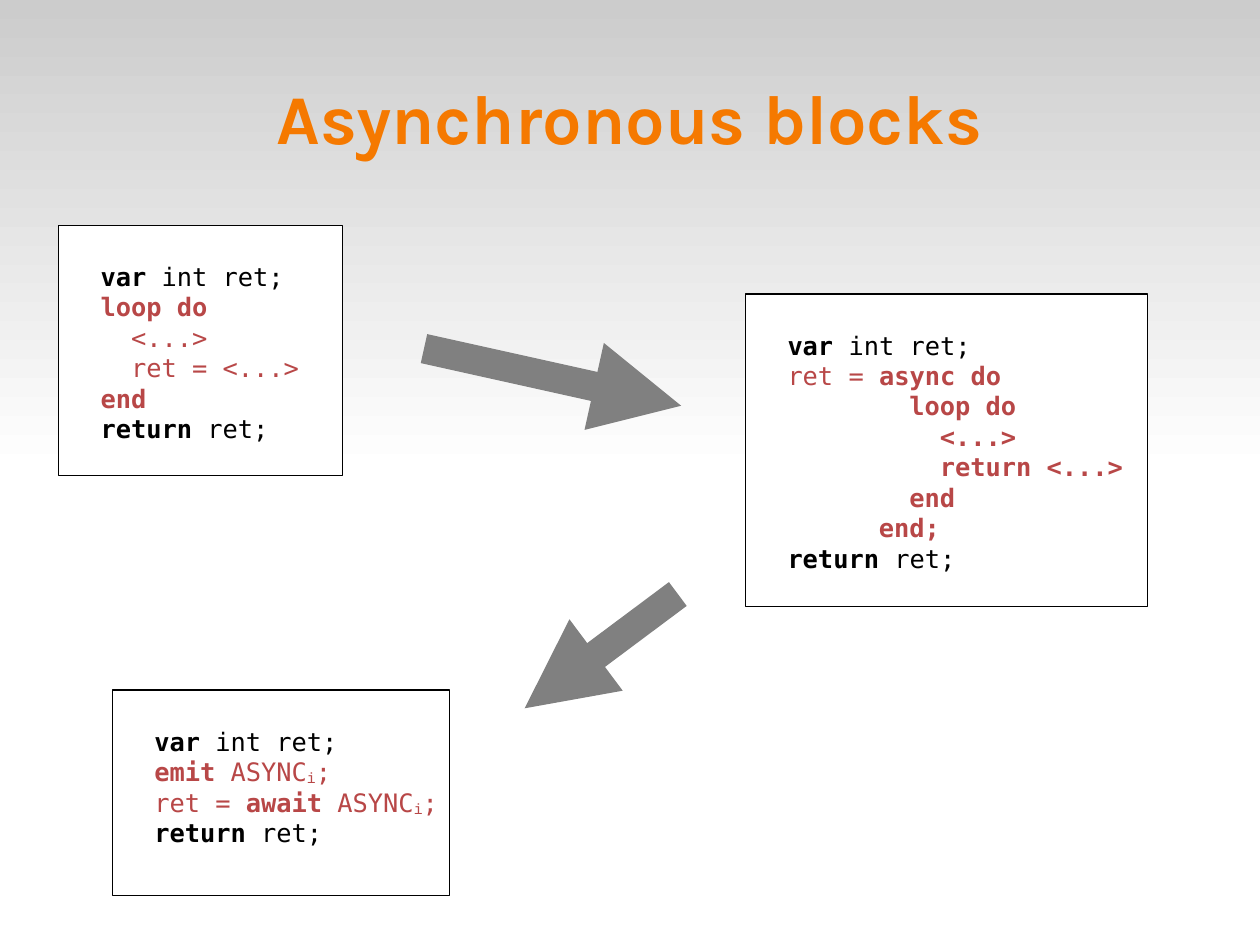
from lxml import etree
from pptx import Presentation
from pptx import util as u
from pptx.dml.color import RGBColor
from pptx.enum import shapes, text
from pptx.oxml.ns import qn

HUES = {"title": "F57900", "ink": "000000", "red": "B84747",
        "arrow": "808080", "paper": "FFFFFF", "shade": "CCCCCC"}
WIDE, HIGH = 793.7, 595.28
SIZE = 16
CHAR = 0.6 * SIZE  # advance of one monospaced character

# Run styles
INK = {}
KEY = {"bold": True}
RED = {"hue": "red"}
HOT = {"hue": "red", "bold": True}
SUB = {"hue": "red", "font": "Courier New", "base": -8}

# Each line is its indent in characters, then its runs
FIRST = (2, ("var", KEY), (" int ret;", INK))
LAST = (2, ("return", KEY), (" ret;", INK))
EVENT = (("ASYNC", RED), ("i", SUB), (";", RED))

LOOP = [
    FIRST,
    (2, ("loop do", HOT)),
    (4, ("<...>", RED)),
    (4, ("ret = <...>", RED)),
    (2, ("end", HOT)),
    LAST,
]
ASYNC = [
    FIRST,
    (2, ("ret = ", RED), ("async do", HOT)),
    (10, ("loop do", HOT)),
    (12, ("<...>", HOT)),
    (12, ("return <...>", HOT)),
    (10, ("end", HOT)),
    (8, ("end;", HOT)),
    LAST,
]
AWAIT = [
    FIRST,
    (2, ("emit ", HOT), *EVENT),
    (2, ("ret = ", RED), ("await ", HOT), *EVENT),
    LAST,
]


def color(name):
    return RGBColor.from_string(HUES[name])


def place(shape, box):
    shape.left, shape.top, shape.width, shape.height = map(u.Pt, box)


def write(para, words, font="DejaVu Sans Mono", size=SIZE, hue="ink",
          bold=False, base=0):
    """Add one run; base shifts it off the baseline, in percent."""
    run = para.add_run()
    run.text = words
    run.font.name = font
    run.font.size = u.Pt(size)
    run.font.bold = bold
    run.font.color.rgb = color(hue)
    if base:
        run.font._element.set("baseline", str(base * 1000))


def inset(frame, left=0, top=0):
    frame.margin_left, frame.margin_top = u.Pt(left), u.Pt(top)
    frame.margin_right = frame.margin_bottom = 0
    frame.word_wrap = True


def rect(slide, box):
    shape = slide.shapes.add_shape(shapes.MSO_SHAPE.RECTANGLE, *map(u.Pt, box))
    shape.shadow.inherit = False
    return shape


def fade(slide, box):
    """Shade the top of the slide, behind everything else."""
    band = rect(slide, box)
    band.line.fill.background()
    band.fill.gradient()
    band.fill.gradient_angle = 270
    for stop, name, pos in zip(band.fill.gradient_stops, ("shade", "paper"), (0, 1)):
        stop.color.rgb = color(name)
        stop.position = pos
    tree = band._element.getparent()
    tree.insert(2, band._element)


def head(slide, box, words):
    title = slide.shapes.title
    place(title, box)
    frame = title.text_frame
    inset(frame)
    frame.vertical_anchor = text.MSO_ANCHOR.MIDDLE
    para = frame.paragraphs[0]
    para.alignment = text.PP_ALIGN.CENTER
    write(para, words, font="Karla", size=44, hue="title", bold=True)


def code(slide, box, lines):
    card = rect(slide, box)
    card.fill.solid()
    card.fill.fore_color.rgb = color("paper")
    card.line.color.rgb = color("ink")
    card.line.width = u.Pt(0)
    frame = card.text_frame
    inset(frame, left=7.2, top=22.5)
    frame.vertical_anchor = text.MSO_ANCHOR.TOP
    for num, (indent, *runs) in enumerate(lines):
        para = frame.add_paragraph() if num else frame.paragraphs[0]
        para.alignment = text.PP_ALIGN.LEFT
        para._p.get_or_add_pPr().set("marL", str(u.Pt(indent * CHAR)))
        for words, style in runs:
            write(para, words, **style)


def arrow(slide, start, end):
    line = slide.shapes.add_connector(
        shapes.MSO_CONNECTOR.STRAIGHT, *map(u.Pt, start + end))
    line.line.color.rgb = color("arrow")
    line.line.width = u.Pt(18.71)
    etree.SubElement(line.line._get_or_add_ln(), qn("a:tailEnd"), type="triangle")
    etree.SubElement(line._element.spPr, qn("a:effectLst"))


def main():
    deck = Presentation()
    deck.slide_width, deck.slide_height = u.Pt(WIDE), u.Pt(HIGH)
    slide = deck.slides.add_slide(deck.slide_layouts[5])
    fade(slide, (0, 0, WIDE, HIGH / 2))
    head(slide, (39.6, 23.8, 714.3, 99.4), "Asynchronous blocks")
    code(slide, (37.1, 141.8, 178.8, 157.7), LOOP)
    code(slide, (469.8, 185.2, 253, 197), ASYNC)
    arrow(slide, (267.1, 219.6), (429.1, 255.6))
    code(slide, (71, 434.7, 212.4, 129.4), AWAIT)
    arrow(slide, (427, 374.2), (330.5, 446.2))
    deck.save("out.pptx")


if __name__ == "__main__":
    main()
